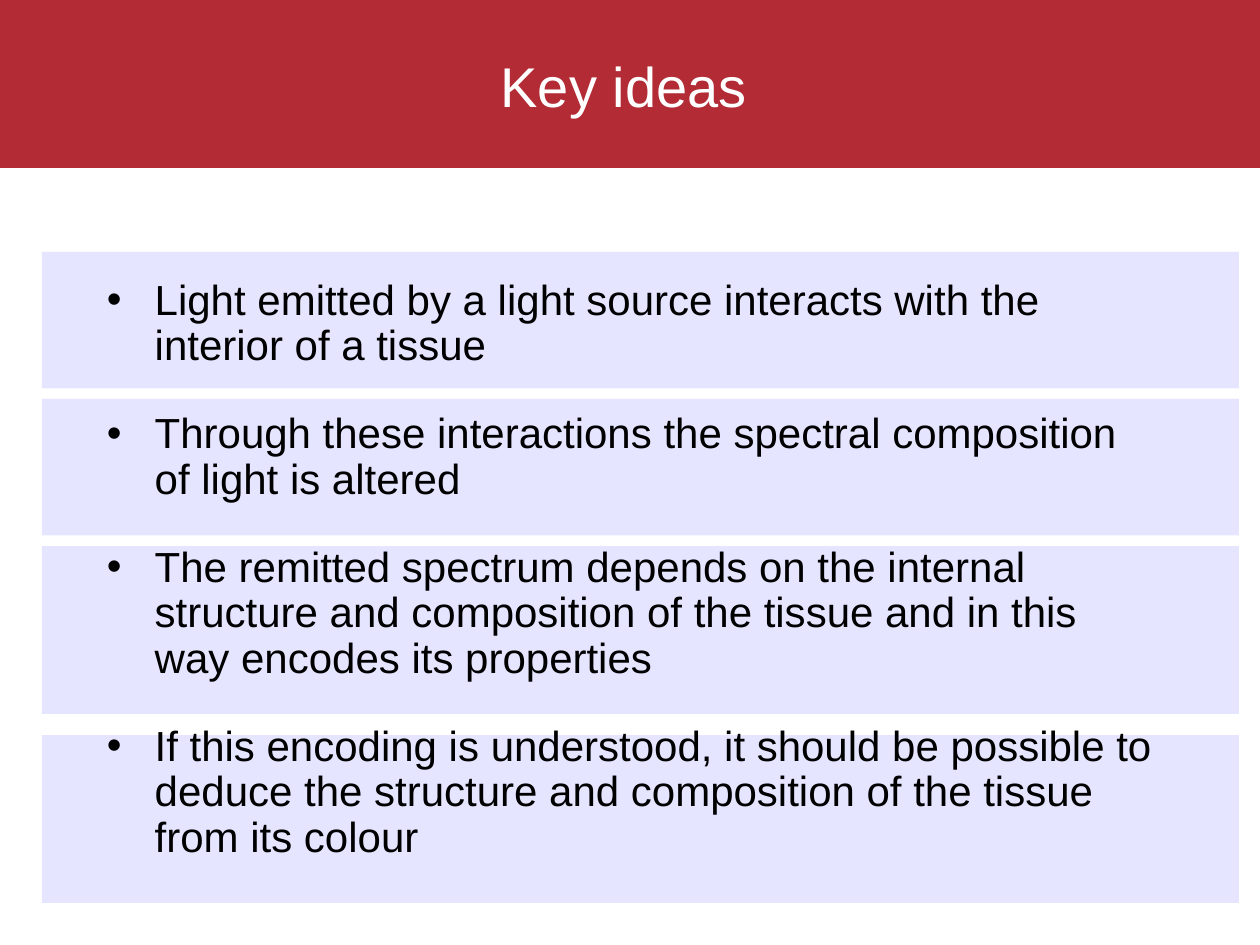
from dataclasses import dataclass

from pptx import Presentation
from pptx.dml.color import RGBColor as Rgb
from pptx.enum.shapes import MSO_SHAPE as Shape
from pptx.enum.text import MSO_ANCHOR as Anchor, PP_ALIGN as Align
from pptx.oxml.ns import qn
from pptx.util import Inches, Pt
from lxml.etree import SubElement as Sub


@dataclass(frozen=True)
class Theme:
    font: str = "Arial"
    red: str = "B32B35"
    lilac: str = "CCCCFF"
    white: str = "FFFFFF"
    black: str = "000000"
    head: int = 32
    body: int = 24
    gap: float = 24.5


THEME = Theme()
COLS, ROWS = 120, 90
UNIT = Inches(10) // COLS
BANDS = [(24, 13), (38, 13), (52, 16), (70, 16)]
IDEAS = [
    "Light emitted by a light source interacts with the interior of a tissue",
    "Through these interactions the spectral composition of light is altered",
    "The remitted spectrum depends on the internal structure and composition "
    "of the tissue and in this way encodes its properties",
    "If this encoding is understood, it should be possible to deduce the "
    "structure and composition of the tissue from its colour",
]


def place(box):
    return [int(n * UNIT) for n in box]


def add_rect(slide, box, color, alpha=None):
    rect = slide.shapes.add_shape(Shape.RECTANGLE, *place(box))
    rect.shadow.inherit = False
    rect.line.fill.background()
    rect.fill.solid()
    rect.fill.fore_color.rgb = Rgb.from_string(color)
    if alpha is not None:
        tone = rect._element.spPr.find(qn("a:solidFill"))[0]
        Sub(tone, qn("a:alpha"), val=str(alpha * 1000))


def add_frame(slide, box):
    frame = slide.shapes.add_textbox(*place(box)).text_frame
    frame.word_wrap = True
    return frame


def add_run(para, text, size, color):
    run = para.add_run()
    run.text = text
    run.font.name = THEME.font
    run.font.size = Pt(size)
    run.font.color.rgb = Rgb.from_string(color)


def add_bullet(para):
    props = para._p.get_or_add_pPr()
    inset = Inches(0.38)
    props.set("marL", str(inset))
    props.set("indent", str(-inset))
    Sub(props, qn("a:buFont"), typeface=THEME.font)
    Sub(props, qn("a:buChar"), char="•")


def add_head(slide, box, text):
    left, top, width, height = box
    add_rect(slide, box, THEME.red)
    frame = add_frame(slide, (left + 9, top + 0.6, width - 18, height - 1))
    frame.vertical_anchor = Anchor.MIDDLE
    frame.margin_left = 0
    para = frame.paragraphs[0]
    para.alignment = Align.CENTER
    add_run(para, text, THEME.head, THEME.white)


def add_bands(slide, box):
    left, top, width, _ = box
    for row, height in BANDS:
        add_rect(slide, (left, row, width, height), THEME.lilac, 50)


def add_ideas(slide, box, ideas):
    frame = add_frame(slide, box)
    for i, idea in enumerate(ideas):
        para = frame.add_paragraph() if i else frame.paragraphs[0]
        para.line_spacing = 0.9
        para.space_before = Pt(THEME.gap if i else 0)
        add_bullet(para)
        add_run(para, idea, THEME.body, THEME.black)


def main():
    deck = Presentation()
    deck.slide_width, deck.slide_height = COLS * UNIT, ROWS * UNIT
    slide = deck.slides.add_slide(deck.slide_layouts[6])
    add_head(slide, (0, 0, COLS, 16), "Key ideas")
    add_bands(slide, (4, 24, 114, 62))
    add_ideas(slide, (9, 26, 102, 60), IDEAS)
    deck.save("out.pptx")


if __name__ == "__main__":
    main()
